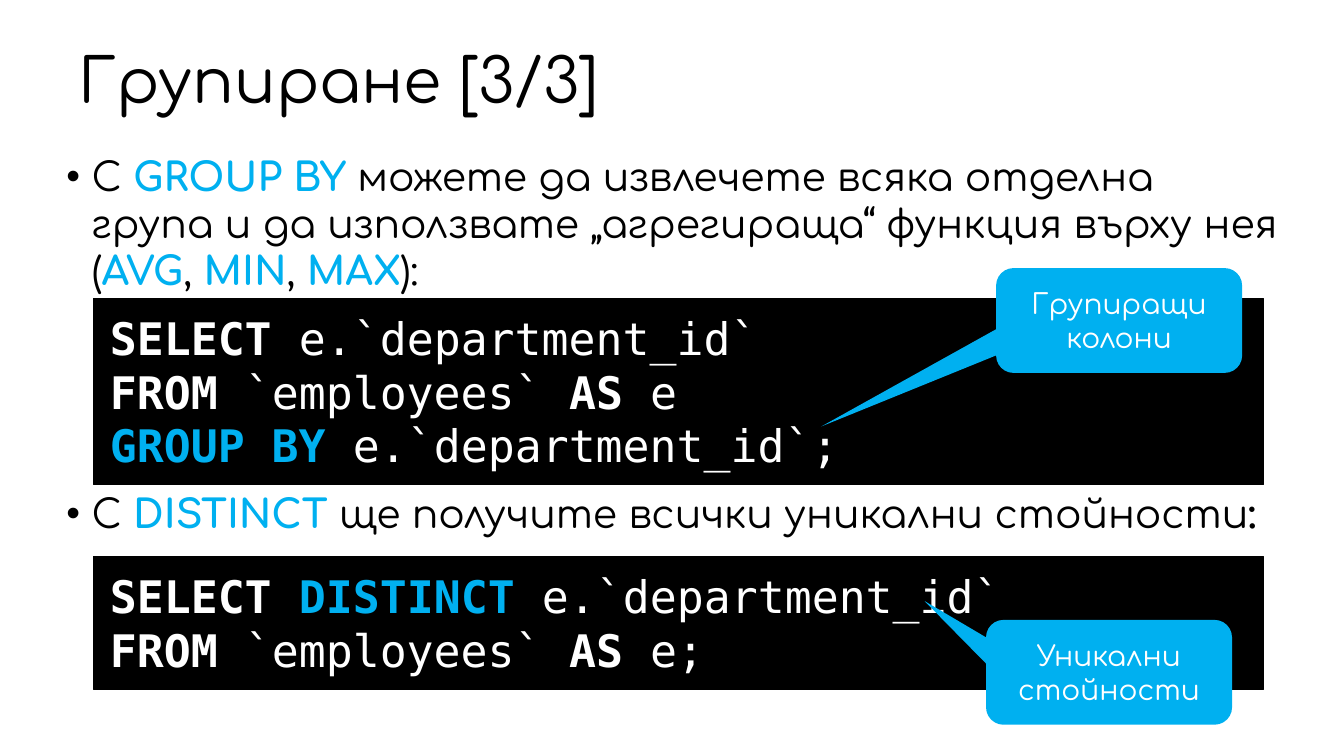
from typing import NamedTuple

from lxml import etree
from pptx import Presentation
from pptx.dml.color import RGBColor
from pptx.enum.shapes import MSO_SHAPE
from pptx.enum.text import MSO_ANCHOR, PP_ALIGN
from pptx.oxml.ns import qn
from pptx.util import Inches, Pt

RECTANGLE = MSO_SHAPE.RECTANGLE
SPEECH_BUBBLE = MSO_SHAPE.ROUNDED_RECTANGULAR_CALLOUT
TOP, MIDDLE = MSO_ANCHOR.TOP, MSO_ANCHOR.MIDDLE
LEFT, CENTER = PP_ALIGN.LEFT, PP_ALIGN.CENTER

COLORS = {"black": "000000", "white": "FFFFFF", "accent": "00B0F0"}
PROSE_FONT = "Comfortaa"
CODE_FONT = "DejaVu Sans Mono"


class Run(NamedTuple):
    text: str
    bold: bool = False
    color: str = ""


class Box(NamedTuple):
    left: float
    top: float
    width: float
    height: float


class Bullet(NamedTuple):
    box: Box
    runs: list[Run]


class CodeBlock(NamedTuple):
    box: Box
    lines: list[list[Run]]


class Callout(NamedTuple):
    box: Box
    tail: tuple[float, float]
    label: str


def keyword(text: str) -> Run:
    return Run(text, True)


def highlight(text: str) -> Run:
    return Run(text, True, "accent")


BULLETS = [
    Bullet(Box(0.56, 1.46, 12.21, 1.5), [
        Run("С "), highlight("GROUP BY "),
        Run("можете да извлечете всяка отделна група и да използвате "
            "„агрегираща“ функция върху нея ("),
        highlight("AVG"), Run(", "), highlight("MIN"), Run(", "),
        highlight("MAX"), Run("):"),
    ]),
    Bullet(Box(0.56, 4.81, 12.21, 0.6), [
        Run("С "), highlight("DISTINCT "),
        Run("ще получите всички уникални стойности"), keyword(":"),
    ]),
]

CODE_BLOCKS = [
    CodeBlock(Box(0.93, 2.96, 11.6, 1.85), [
        [keyword("SELECT"), Run(" e.`department_id`")],
        [keyword("FROM"), Run(" `employees` "), keyword("AS"), Run(" e")],
        [highlight("GROUP BY "), Run("e.`department_id`;")],
    ]),
    CodeBlock(Box(0.93, 5.52, 11.6, 1.32), [
        [keyword("SELECT "), highlight("DISTINCT"), Run(" e.`department_id`")],
        [keyword("FROM"), Run(" `employees` "), keyword("AS"), Run(" e;")],
    ]),
]

CALLOUTS = [
    Callout(Box(9.88, 2.66, 2.44, 1.04), (-1.21, 1.01), "Групиращи колони"),
    Callout(Box(9.78, 6.15, 2.44, 1.04), (-0.75, -0.68), "Уникални стойности"),
]


def rgb(color: str) -> RGBColor:
    return RGBColor.from_string(COLORS[color])


def inches(box: Box) -> list[Inches]:
    return [Inches(length) for length in box]


def add_bullet_mark(paragraph) -> None:
    properties = paragraph._p.get_or_add_pPr()
    properties.set("marL", str(Inches(0.25)))
    properties.set("indent", str(Inches(-0.25)))
    etree.SubElement(properties, qn("a:buFont")).set("typeface", "Arial")
    etree.SubElement(properties, qn("a:buChar")).set("char", "•")


def write_text(shape, lines: list[list[Run]], *, size: int, font: str = PROSE_FONT,
               color: str = "black", align=LEFT, anchor=TOP,
               margins: tuple[float, float] = (0.1, 0.05),
               spacing: float = 1.0, bulleted: bool = False) -> None:
    frame = shape.text_frame
    frame.word_wrap = True
    frame.vertical_anchor = anchor
    frame.margin_left = frame.margin_right = Inches(margins[0])
    frame.margin_top = frame.margin_bottom = Inches(margins[1])
    for index, runs in enumerate(lines):
        paragraph = frame.add_paragraph() if index else frame.paragraphs[0]
        paragraph.alignment = align
        paragraph.line_spacing = spacing
        if bulleted:
            add_bullet_mark(paragraph)
        for part in runs:
            run = paragraph.add_run()
            run.text = part.text
            run.font.name = font
            run.font.size = Pt(size)
            run.font.bold = part.bold
            run.font.color.rgb = rgb(part.color or color)


def add_panel(slide, preset, box: Box, fill: str):
    panel = slide.shapes.add_shape(preset, *inches(box))
    panel.shadow.inherit = False
    panel.fill.solid()
    panel.fill.fore_color.rgb = rgb(fill)
    panel.line.fill.background()
    return panel


def add_code(slide, block: CodeBlock) -> None:
    panel = add_panel(slide, RECTANGLE, block.box, "black")
    panel.line.color.rgb = rgb("black")
    panel.line.width = Pt(1)
    write_text(panel, block.lines, size=32, font=CODE_FONT, color="white",
               margins=(0.16, 0.12))


def add_callout(slide, callout: Callout) -> None:
    bubble = add_panel(slide, SPEECH_BUBBLE, callout.box, "accent")
    bubble.adjustments[0], bubble.adjustments[1] = callout.tail
    write_text(bubble, [[Run(callout.label)]], size=20, color="white",
               align=CENTER, anchor=MIDDLE)


def main() -> None:
    deck = Presentation()
    deck.slide_width, deck.slide_height = Inches(13.33), Inches(7.5)
    slide = deck.slides.add_slide(deck.slide_layouts[6])

    for bullet in BULLETS:
        body = slide.shapes.add_textbox(*inches(bullet.box))
        write_text(body, [bullet.runs], size=28, bulleted=True)
    for block, callout in zip(CODE_BLOCKS, CALLOUTS):
        add_code(slide, block)
        add_callout(slide, callout)
    title = slide.shapes.add_textbox(*inches(Box(0.68, 0.1, 11.5, 1.45)))
    write_text(title, [[Run("Групиране [3/3]")]], size=44, anchor=MIDDLE, spacing=0.9)

    deck.save("out.pptx")


if __name__ == "__main__":
    main()
